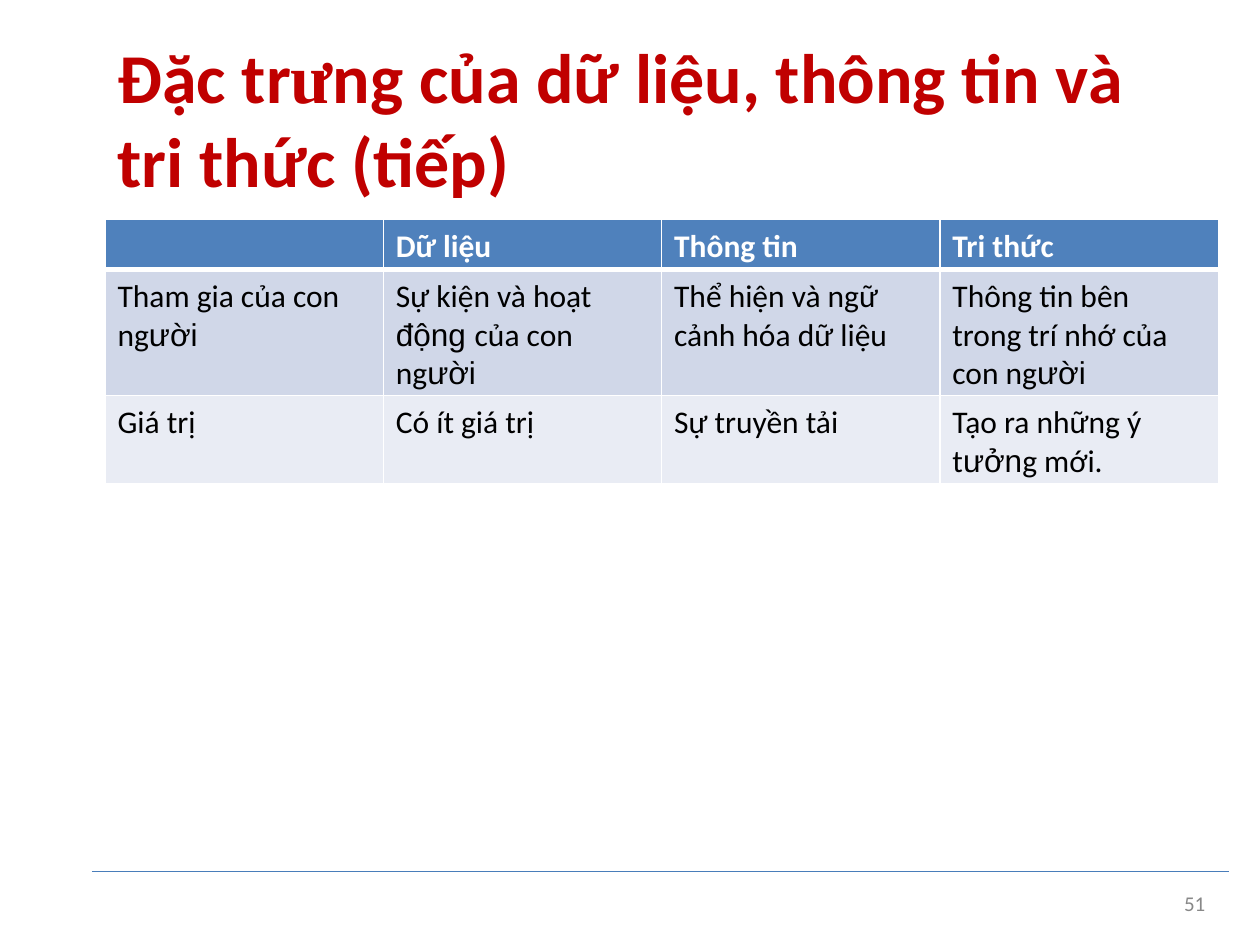
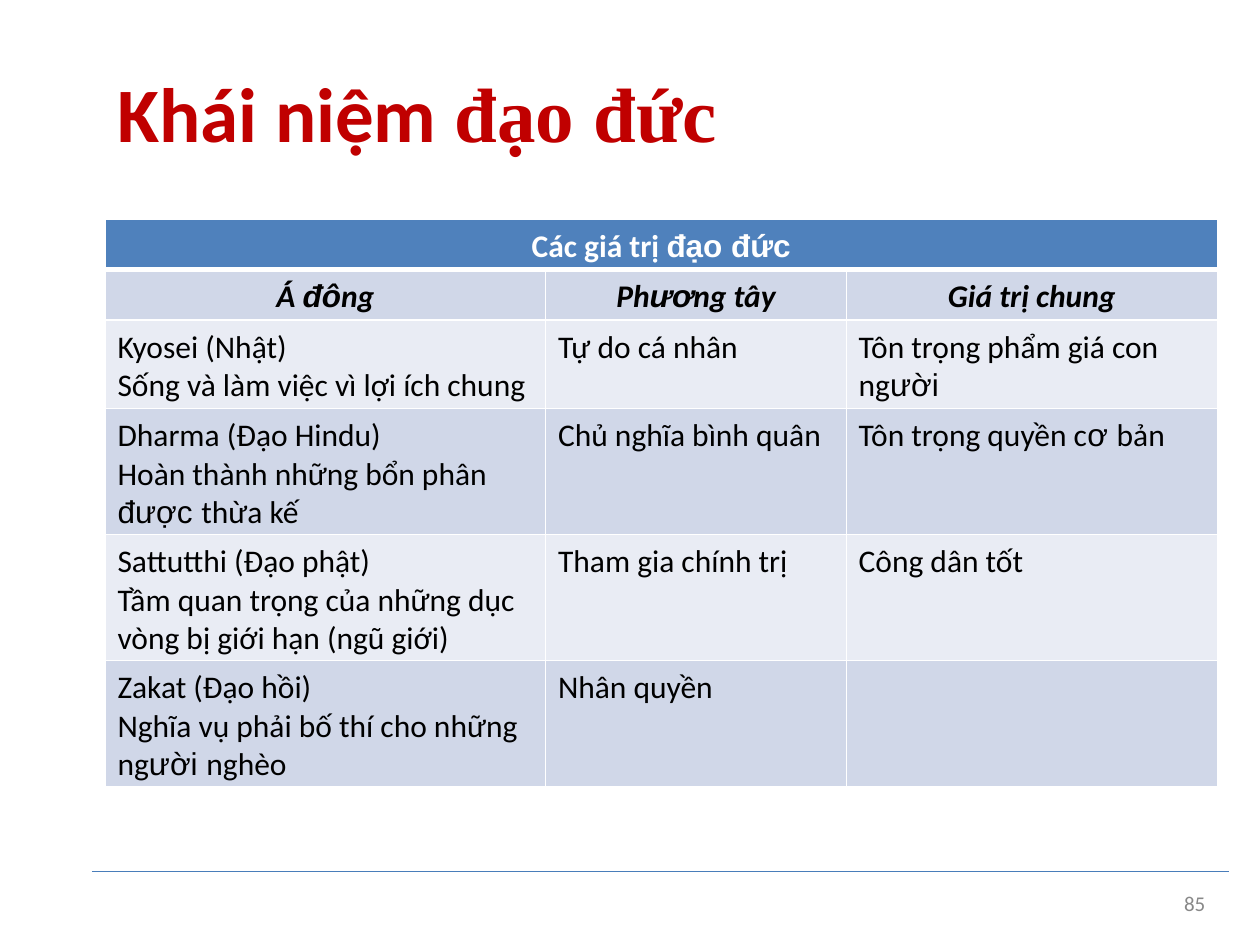
import pptx
import pptx.dml.color
import pptx.enum.shapes
import pptx.enum.text
import pptx.oxml.ns
import pptx.util
from lxml import etree

Cm, Pt = pptx.util.Cm, pptx.util.Pt
ALIGN = pptx.enum.text.PP_ALIGN

# Content: |…| switches to the second font, / breaks a line, a newline starts a paragraph
SLIDES = [
    {
        "title": "Đặc tr|ư|ng của dữ liệu, thông tin và/tri thức (tiếp)",
        "title_size": 40, "title_spacing": Pt(47.8),
        "title_box": (2.34, 0.53, 20.4, 3.45), "title_inset": 0.15,
        "number": "51",
        "columns": [5.61] * 4,
        "rows": [
            ("header", ["", "Dữ liệu", "Thông tin", "Tri thức"]),
            ("dark", ["Tham gia của con/ng|ười|",
                      "Sự kiện và hoạt/|động |của con/ng|ười|",
                      "Thể hiện và ngữ/cảnh hóa dữ liệu",
                      "Thông tin bên\ntrong trí nhớ của/con ng|ười|"]),
            ("light", ["Giá trị", "Có ít giá trị", "Sự truyền tải",
                       "Tạo ra những ý/t|ưởn|g mới."]),
        ],
    },
    {
        "title": "Khái niệm |đạo đức|",
        "title_size": 44, "title_spacing": 1.0,
        "title_box": (2.34, 1.27, 12.12, 1.93), "title_inset": 0.06,
        "number": "85",
        "columns": [8.88, 6.06, 7.48],
        "rows": [
            ("banner", ["Các giá trị |đạo đức|", "", ""]),
            ("subheader", ["Á |đô|ng", "Ph|ươ|ng tây", "Giá trị chung"]),
            ("light", ["Kyosei (Nhật)\nSống và làm việc vì lợi ích chung",
                       "Tự do cá nhân", "Tôn trọng phẩm giá con\nng|ười|"]),
            ("dark", ["Dharma (Đạo Hindu)\nHoàn thành những bổn phân\n|được |thừa kế",
                      "Chủ nghĩa bình quân", "Tôn trọng quyền c|ơ |bản"]),
            ("light", ["Sattutthi (Đạo phật)\nTầm quan trọng của những dục/vòng bị giới hạn (ngũ giới)",
                       "Tham gia chính trị", "Công dân tốt"]),
            ("dark", ["Zakat (Đạo hồi)\nNghĩa vụ phải bố thí cho những\nng|ười |nghèo",
                      "Nhân quyền", ""]),
        ],
    },
]

# Shared look
COLORS = {"title": "C00000", "rule": "497DBA", "number": "888888", "border": "FFFFFF",
          "header": "4F81BC", "dark": "D0D7E8", "light": "E9ECF4",
          "header_text": "FFFFFF", "text": "000000"}
ROW_STYLES = {  # fill, text colour, bold, italic, centred
    "header": ("header", "header_text", True, False, False),
    "banner": ("header", "header_text", True, False, True),
    "subheader": ("dark", "text", True, True, True),
    "dark": ("dark", "text", False, False, False),
    "light": ("light", "text", False, False, False),
}
TABLE_LEFT, TABLE_TOP = 2.12, 4.41
FIRST_LINE, NEXT_LINE = 1.02, 0.76


def rgb(name):
    return pptx.dml.color.RGBColor.from_string(COLORS[name])


def write(frame, text, size, color, bold=False, italic=False,
          align=ALIGN.LEFT, second_font="Arial"):
    for index, line in enumerate(text.split("\n")):
        paragraph = frame.add_paragraph() if index else frame.paragraphs[0]
        paragraph.alignment = align
        paragraph.space_before = Pt(0)
        font = paragraph.font
        font.name, font.size, font.bold, font.italic = "Calibri", Pt(size), bold, italic
        font.color.rgb = rgb(color)
        for part, piece in enumerate(line.split("|")):
            for row, words in enumerate(piece.split("/")):
                if row:
                    paragraph.add_line_break()
                if words:
                    run = paragraph.add_run()
                    run.text = words
                    if part % 2:
                        run.font.name = second_font


def set_insets(box, left=0, top=0):
    box.margin_left, box.margin_top = Cm(left), Cm(top)
    box.margin_right = box.margin_bottom = 0


def set_borders(cell, widths):
    properties = cell._tc.get_or_add_tcPr()
    for index, (side, width) in enumerate(zip("LRTB", widths)):
        line = etree.Element(pptx.oxml.ns.qn(f"a:ln{side}"), w=str(Pt(width)))
        fill = etree.SubElement(line, pptx.oxml.ns.qn("a:solidFill"))
        etree.SubElement(fill, pptx.oxml.ns.qn("a:srgbClr"), val=COLORS["border"])
        properties.insert(index, line)


def add_title(slide, content):
    title = slide.shapes.title
    title.left, title.top, title.width, title.height = map(Cm, content["title_box"])
    frame = title.text_frame
    frame.word_wrap = True
    frame.auto_size = pptx.enum.text.MSO_AUTO_SIZE.NONE
    frame.vertical_anchor = pptx.enum.text.MSO_ANCHOR.TOP
    set_insets(frame, 0.03, content["title_inset"])
    write(frame, content["title"], content["title_size"], "title", bold=True,
          second_font="Times New Roman")
    frame.paragraphs[0].line_spacing = content["title_spacing"]


def add_footer(slide, number):
    rule = slide.shapes.add_connector(pptx.enum.shapes.MSO_CONNECTOR.STRAIGHT,
                                      Cm(1.85), Cm(17.57), Cm(24.77), Cm(17.57))
    rule.line.color.rgb = rgb("rule")
    rule.line.width = Pt(0.78)
    etree.SubElement(rule._element.spPr, pptx.oxml.ns.qn("a:effectLst"))
    page = slide.shapes.add_textbox(Cm(23.77), Cm(17.95), Cm(0.7), Cm(0.5)).text_frame
    page.word_wrap = True
    set_insets(page, 0.1)
    write(page, number, 12, "number")


def add_values_table(slide, columns, rows):
    heights = [FIRST_LINE + NEXT_LINE * max(text.count("\n") + text.count("/") for text in texts)
               for _, texts in rows]
    table = slide.shapes.add_table(len(rows), len(columns), Cm(TABLE_LEFT), Cm(TABLE_TOP),
                                   Cm(sum(columns)), Cm(sum(heights))).table
    table.horz_banding = False
    for column, width in zip(table.columns, columns):
        column.width = Cm(width)
    for r, (style, texts) in enumerate(rows):
        fill, color, bold, italic, centred = ROW_STYLES[style]
        table.rows[r].height = Cm(heights[r])
        for c, text in enumerate(texts):
            cell = table.cell(r, c)
            set_insets(cell, 0 if centred else 0.25, 0.17)
            cell.fill.solid()
            cell.fill.fore_color.rgb = rgb(fill)
            set_borders(cell, (1, 1, 3 if r == 1 else 1, 3 if r == 0 else 1))
            write(cell.text_frame, text, 18, color, bold, italic,
                  ALIGN.CENTER if centred else ALIGN.LEFT)
        if style == "banner":
            table.cell(r, 0).merge(table.cell(r, len(columns) - 1))


def main():
    deck = pptx.Presentation()
    deck.slide_width, deck.slide_height = Cm(25.4), Cm(19.05)
    for content in SLIDES:
        slide = deck.slides.add_slide(deck.slide_layouts[5])
        add_title(slide, content)
        add_footer(slide, content["number"])
        add_values_table(slide, content["columns"], content["rows"])
    deck.save("out.pptx")


if __name__ == "__main__":
    main()
